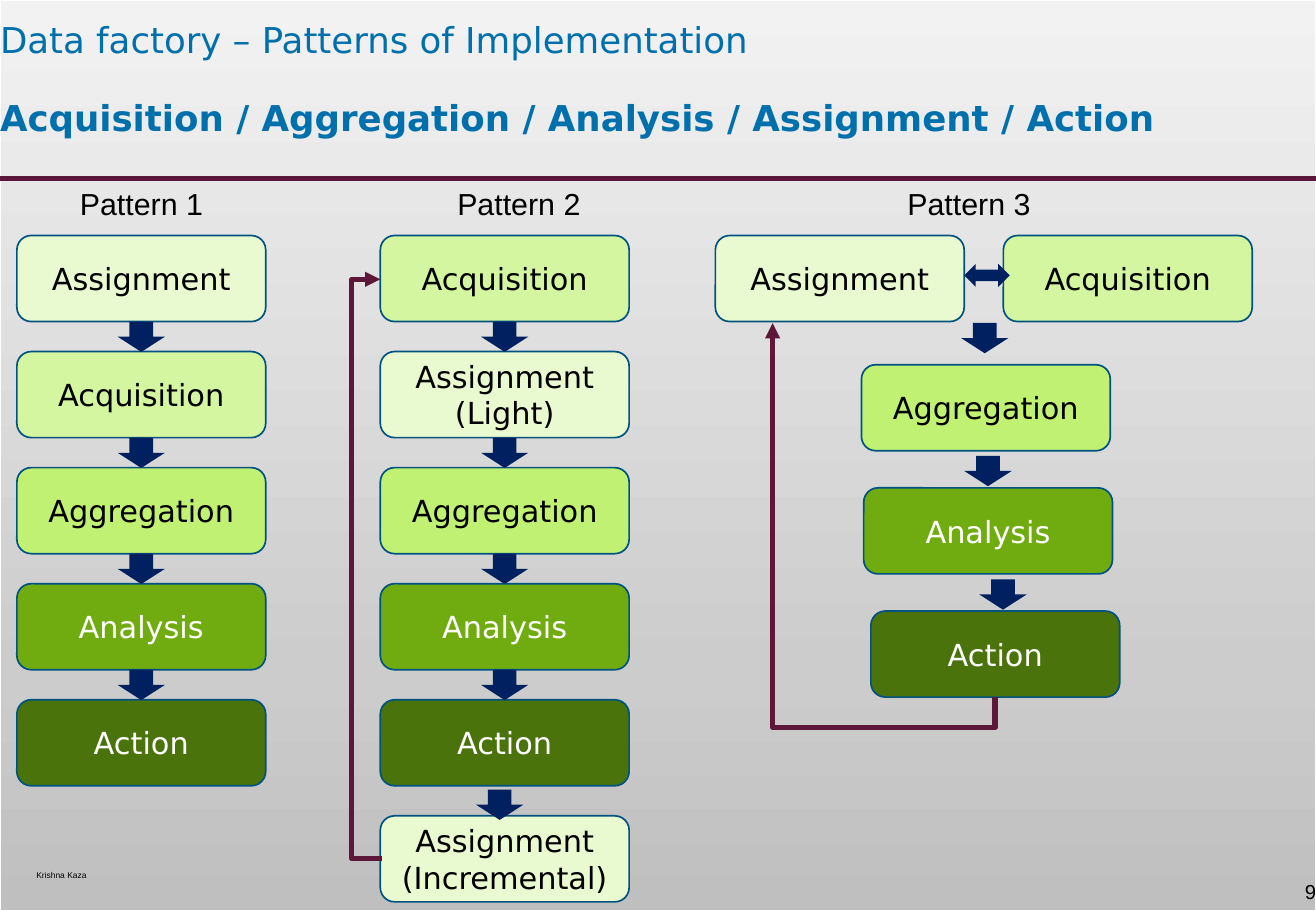
import copy
from dataclasses import dataclass

import lxml.etree
import pptx
import pptx.dml.color
import pptx.enum.shapes
import pptx.enum.text
import pptx.oxml.ns
import pptx.util

Pt = pptx.util.Pt
qn = pptx.oxml.ns.qn
Shape = pptx.enum.shapes.MSO_SHAPE
Connector = pptx.enum.shapes.MSO_CONNECTOR
Align = pptx.enum.text.PP_ALIGN
Anchor = pptx.enum.text.MSO_ANCHOR


def rgb(value):
    return pptx.dml.color.RGBColor.from_string(value)


@dataclass(frozen=True)
class Theme:
    heading_font: str = "DejaVu Sans"
    label_font: str = "Arial"
    title_size: float = 21.1
    body_size: float = 18
    number_size: float = 12
    footer_size: float = 5
    title: str = "0070AD"
    dark: str = "000000"
    light: str = "FFFFFF"
    page: str = "E6E7E7"
    gradient: tuple = ((0, "BFBFBF"), (0.26, "CCCCCC"), (1, "F2F2F2"))
    rule: str = "5D1738"
    arrow: str = "002060"
    outline: str = "005380"
    stages: tuple = (("Assignment", "EAFAD0", "000000"),
                     ("Acquisition", "D5F6A1", "000000"),
                     ("Aggregation", "C0F172", "000000"),
                     ("Analysis", "70AC10", "FFFFFF"),
                     ("Action", "4A730B", "FFFFFF"))


SLIDE_WIDTH, SLIDE_HEIGHT = 780, 540
BOX_WIDTH, BOX_HEIGHT = 147.5, 51
ARROW_WIDTH, ARROW_HEIGHT = 28, 18
ROW_TOP, ROW_PITCH = 139.6, 68.8


class SlideBuilder:
    def __init__(self, slide, theme):
        self.slide = slide
        self.theme = theme
        self.stage_colors = {name: colors for name, *colors in theme.stages}

    def format_text(self, paragraph, text, size, font, color, align=Align.LEFT, bold=False):
        paragraph.text = text
        paragraph.alignment = align
        values = {"size": Pt(size), "name": font, "bold": bold}
        for name, value in values.items():
            setattr(paragraph.font, name, value)
        paragraph.font.color.rgb = rgb(color)

    def format_frame(self, frame, anchor, inset=None):
        values = {"word_wrap": True, "vertical_anchor": anchor}
        if inset is not None:
            sides = ("left", "top", "right", "bottom")
            values.update({f"margin_{side}": Pt(inset) for side in sides})
        for name, value in values.items():
            setattr(frame, name, value)

    def background(self):
        theme = self.theme
        page_fill = self.slide.background.fill
        page_fill.solid()
        page_fill.fore_color.rgb = rgb(theme.page)
        panel = self.shape(Shape.RECTANGLE, 0, 0, SLIDE_WIDTH, SLIDE_HEIGHT,
                           theme.light, theme.light)
        panel.fill.gradient()
        panel.fill.gradient_angle = 90
        stop_list = next(panel.element.iter(qn("a:gsLst")))
        stop_list.insert(1, copy.deepcopy(stop_list[0]))
        for stop, (position, color) in zip(panel.fill.gradient_stops, theme.gradient):
            stop.position = position
            stop.color.rgb = rgb(color)
        self.slide.shapes.element.insert(2, panel.element)

    def title(self, lines):
        shape = self.slide.shapes.title
        box = {"left": 0, "top": 13.7, "width": SLIDE_WIDTH, "height": 43}
        for name, value in box.items():
            setattr(shape, name, Pt(value))
        frame = shape.text_frame
        self.format_frame(frame, Anchor.TOP, 0)
        frame.auto_size = pptx.enum.text.MSO_AUTO_SIZE.NONE
        for index, text in enumerate(lines):
            paragraph = frame.add_paragraph() if index else frame.paragraphs[0]
            self.format_text(paragraph, text, self.theme.title_size,
                             self.theme.heading_font, self.theme.title, bold=index > 0)
            paragraph.line_spacing = 0.9
            paragraph.space_before = Pt(23.5 if index else 0)

    def shape(self, kind, left, top, width, height, fill, line=None):
        shape = self.slide.shapes.add_shape(kind, Pt(left), Pt(top), Pt(width), Pt(height))
        shape.shadow.inherit = False
        shape.fill.solid()
        shape.fill.fore_color.rgb = rgb(fill)
        if line:
            shape.line.color.rgb = rgb(line)
            shape.line.width = Pt(1)
        else:
            shape.line.fill.background()
        return shape

    def stage(self, left, top, text):
        """Draw a process box coloured by the first word of its text."""
        fill, color = self.stage_colors[text.split()[0]]
        box = self.shape(Shape.ROUNDED_RECTANGLE, left, top, BOX_WIDTH, BOX_HEIGHT,
                         fill, self.theme.outline)
        self.format_frame(box.text_frame, Anchor.MIDDLE)
        self.format_text(box.text_frame.paragraphs[0], text, self.theme.body_size,
                         self.theme.heading_font, color, Align.CENTER)

    def down_arrow(self, left, top):
        self.shape(Shape.DOWN_ARROW, left, top, ARROW_WIDTH, ARROW_HEIGHT, self.theme.arrow)

    def label(self, left, top, width, height, text, size, align=Align.LEFT,
              anchor=Anchor.TOP, inset=None):
        box = self.slide.shapes.add_textbox(Pt(left), Pt(top), Pt(width), Pt(height))
        self.format_frame(box.text_frame, anchor, inset)
        self.format_text(box.text_frame.paragraphs[0], text, size,
                         self.theme.label_font, self.theme.dark, align)

    def line(self, begin, end, kind=Connector.STRAIGHT):
        connector = self.slide.shapes.add_connector(
            kind, *(Pt(value) for value in (*begin, *end)))
        connector.line.color.rgb = rgb(self.theme.rule)
        connector.line.width = Pt(3)
        lxml.etree.SubElement(connector.element.spPr, qn("a:effectLst"))
        return connector

    def feedback(self, begin, end, overshoot, vertical=False):
        """Draw an elbow arrow that leaves its start by overshoot points before turning."""
        (x1, y1), (x2, y2) = begin, end
        if vertical:
            middle_x, middle_y = (x1 + x2) / 2, (y1 + y2) / 2
            half_width, half_height = (y1 - y2) / 2, (x1 - x2) / 2
            begin = middle_x + half_width, middle_y - half_height
            end = middle_x - half_width, middle_y + half_height
        connector = self.line(begin, end, Connector.ELBOW)
        properties = connector.element.spPr
        if vertical:
            properties.find(qn("a:xfrm")).set("rot", "5400000")
        share = overshoot / (begin[0] - end[0])
        adjustments = next(properties.iter(qn("a:avLst")))
        lxml.etree.SubElement(adjustments, qn("a:gd"), name="adj1",
                              fmla=f"val {round(share * 100000)}")
        outline = properties.find(qn("a:ln"))
        lxml.etree.SubElement(outline, qn("a:tailEnd"), type="triangle")


def main():
    presentation = pptx.Presentation()
    presentation.slide_width, presentation.slide_height = Pt(SLIDE_WIDTH), Pt(SLIDE_HEIGHT)
    theme = Theme()
    builder = SlideBuilder(presentation.slides.add_slide(presentation.slide_layouts[5]), theme)
    builder.background()
    builder.label(748, 521.3, 32, 14.4, "9", theme.number_size, Align.RIGHT, Anchor.MIDDLE, 0)
    builder.label(14.4, 511.9, 222.5, 13.7, "Krishna Kaza", theme.footer_size)
    builder.title(["Data factory – Patterns of Implementation",
                   "Acquisition / Aggregation / Analysis / Assignment / Action"])
    builder.line((0, 105.9), (SLIDE_WIDTH, 105.9))

    columns = (
        (10, ("Assignment", "Acquisition", "Aggregation", "Analysis", "Action")),
        (225.4, ("Acquisition", "Assignment (Light)", "Aggregation", "Analysis", "Action",
                 "Assignment (Incremental)")),
    )
    for left, stages in columns:
        for row, text in enumerate(stages):
            builder.stage(left, ROW_TOP + row * ROW_PITCH, text)
        for row in range(4):
            builder.down_arrow(left + (BOX_WIDTH - ARROW_WIDTH) / 2,
                               ROW_TOP + BOX_HEIGHT + row * ROW_PITCH)
    builder.down_arrow(282.2, 468)
    builder.feedback((226.4, 509), (225.4, 165.6), 18)

    for left, top, text in ((424, ROW_TOP, "Assignment"), (594.7, ROW_TOP, "Acquisition"),
                            (510.6, 216.2, "Aggregation"), (511.9, 289.2, "Analysis"),
                            (516.2, 362.2, "Action")):
        builder.stage(left, top, text)
    for left, top in ((569.7, 191.4), (571.6, 270.2), (580.5, 343.4)):
        builder.down_arrow(left, top)
    builder.shape(Shape.LEFT_RIGHT_ARROW, 571.5, 156.4, 27, 13.7, theme.arrow)
    builder.feedback((589.8, 413.3), (458, 191.5), -18, vertical=True)

    for number, left in enumerate((18.7, 242.4, 509.2), start=1):
        builder.label(left, 105.9, 130.3, 29, f"Pattern {number}", theme.body_size, Align.CENTER)
    presentation.save("out.pptx")


if __name__ == "__main__":
    main()
